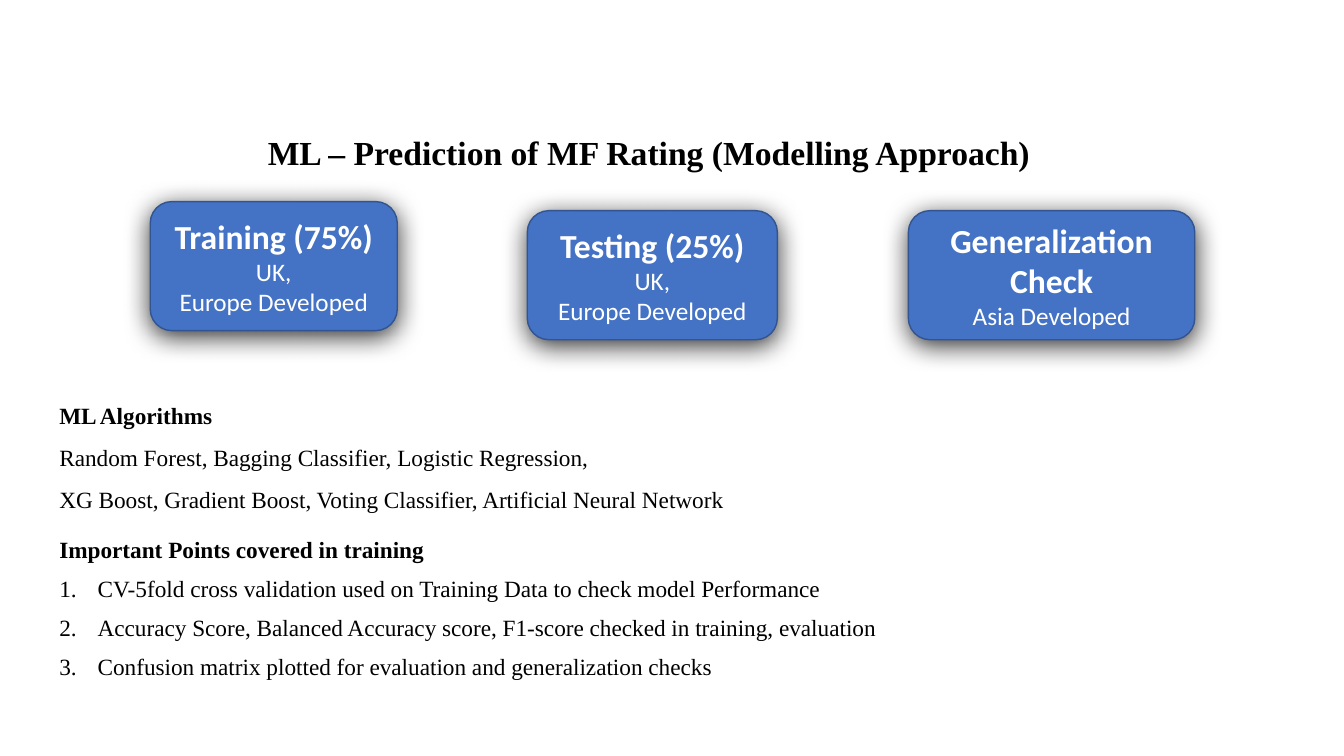
from dataclasses import dataclass

from lxml import etree
from pptx import Presentation
from pptx import util as u
from pptx.dml import color
from pptx.enum import shapes, text
from pptx.oxml import ns


@dataclass(frozen=True)
class Theme:
    ink: str = "000000"
    card: str = "4472C4"
    edge: str = "325491"
    white: str = "FFFFFF"
    serif: str = "Times New Roman"
    sans: str = "Calibri"
    heading: float = 24
    detail: float = 18
    body: float = 16.6


T = Theme()

CARDS = [
    ((1.49, 2, 2.45, 1.28), ["Training (75%)", "UK,", "Europe Developed"]),
    ((5.23, 2.09, 2.48, 1.28), ["Testing (25%)", "UK,", "Europe Developed"]),
    ((9.01, 2.09, 2.84, 1.28), ["Generalization Check", "Asia Developed"]),
]

SECTIONS = [
    ("ML Algorithms", False, [
        "Random Forest, Bagging Classifier, Logistic Regression,",
        "XG Boost, Gradient Boost, Voting Classifier, Artificial Neural Network",
    ]),
    ("Important Points covered in training", True, [
        "CV-5fold cross validation used on Training Data to check model Performance",
        "Accuracy Score, Balanced Accuracy score, F1-score checked in training, evaluation",
        "Confusion matrix plotted for evaluation and generalization checks",
    ]),
]


def inches(box):
    return [u.Inches(v) for v in box]


def assign(obj, formats):
    for name, value in formats.items():
        setattr(obj, name, value)


def write(tf, i, words, font, rgb, **formats):
    p = tf.paragraphs[0] if i == 0 else tf.add_paragraph()
    assign(p, formats)
    r = p.add_run()
    r.text = words
    assign(r.font, font)
    r.font.color.rgb = color.RGBColor.from_string(rgb)
    return p


def number(p):
    pPr = p._p.get_or_add_pPr()
    pPr.set("marL", str(u.Inches(0.38)))
    pPr.set("indent", str(-u.Inches(0.38)))
    etree.SubElement(pPr, ns.qn("a:buFont"), typeface="+mj-lt")
    etree.SubElement(pPr, ns.qn("a:buAutoNum"), type="arabicPeriod")


def add_shadow(sp):
    effects = sp._element.spPr.find(ns.qn("a:effectLst"))
    shadow = etree.SubElement(
        effects, ns.qn("a:outerShdw"), blurRad=str(u.Pt(19)), dist=str(u.Pt(4)),
        dir="5400000", algn="ctr", rotWithShape="0")
    tint = etree.SubElement(shadow, ns.qn("a:srgbClr"), val=T.ink)
    etree.SubElement(tint, ns.qn("a:alpha"), val="78000")


def add_title(s, box, words):
    sp = s.shapes.title
    assign(sp, dict(zip(("left", "top", "width", "height"), inches(box))))
    tf = sp.text_frame
    assign(tf, dict(word_wrap=True, auto_size=text.MSO_AUTO_SIZE.NONE,
                    vertical_anchor=text.MSO_ANCHOR.BOTTOM))
    write(tf, 0, words, dict(size=u.Pt(T.heading), name=T.serif, bold=True),
          T.ink, alignment=text.PP_ALIGN.CENTER, line_spacing=0.9)


def add_card(s, box, lines):
    sp = s.shapes.add_shape(shapes.MSO_SHAPE.ROUNDED_RECTANGLE, *inches(box))
    sp.shadow.inherit = False
    add_shadow(sp)
    sp.fill.solid()
    sp.fill.fore_color.rgb = color.RGBColor.from_string(T.card)
    sp.line.color.rgb = color.RGBColor.from_string(T.edge)
    sp.line.width = u.Pt(1)
    tf = sp.text_frame
    assign(tf, dict(word_wrap=True, vertical_anchor=text.MSO_ANCHOR.MIDDLE))
    for i, line in enumerate(lines):
        size = T.detail if i else T.heading
        write(tf, i, line, dict(size=u.Pt(size), name=T.sans, bold=i == 0),
              T.white, alignment=text.PP_ALIGN.CENTER)


def add_body(s, box, sections):
    tf = s.shapes.add_textbox(*inches(box)).text_frame
    tf.word_wrap = True
    font = dict(size=u.Pt(T.body), name=T.serif)
    i = 0
    for heading, numbered, lines in sections:
        write(tf, i, heading, font | dict(bold=True), T.ink,
              line_spacing=1.3, space_before=u.Pt(10 if i else 0))
        for line in lines:
            i += 1
            p = write(tf, i, line, font | dict(bold=False), T.ink,
                      line_spacing=0.9 if numbered else 1.0, space_before=u.Pt(10))
            if numbered:
                number(p)
        i += 1


def main():
    prs = Presentation()
    assign(prs, dict(slide_width=u.Inches(13.33), slide_height=u.Inches(7.5)))
    s = prs.slides.add_slide(prs.slide_layouts[5])
    add_title(s, (0.35, 1.13, 12.17, 0.63),
              "ML – Prediction of MF Rating (Modelling Approach)")
    add_body(s, (0.49, 3.85, 12.02, 3.21), SECTIONS)
    for box, lines in CARDS:
        add_card(s, box, lines)
    prs.save("out.pptx")


if __name__ == "__main__":
    main()
